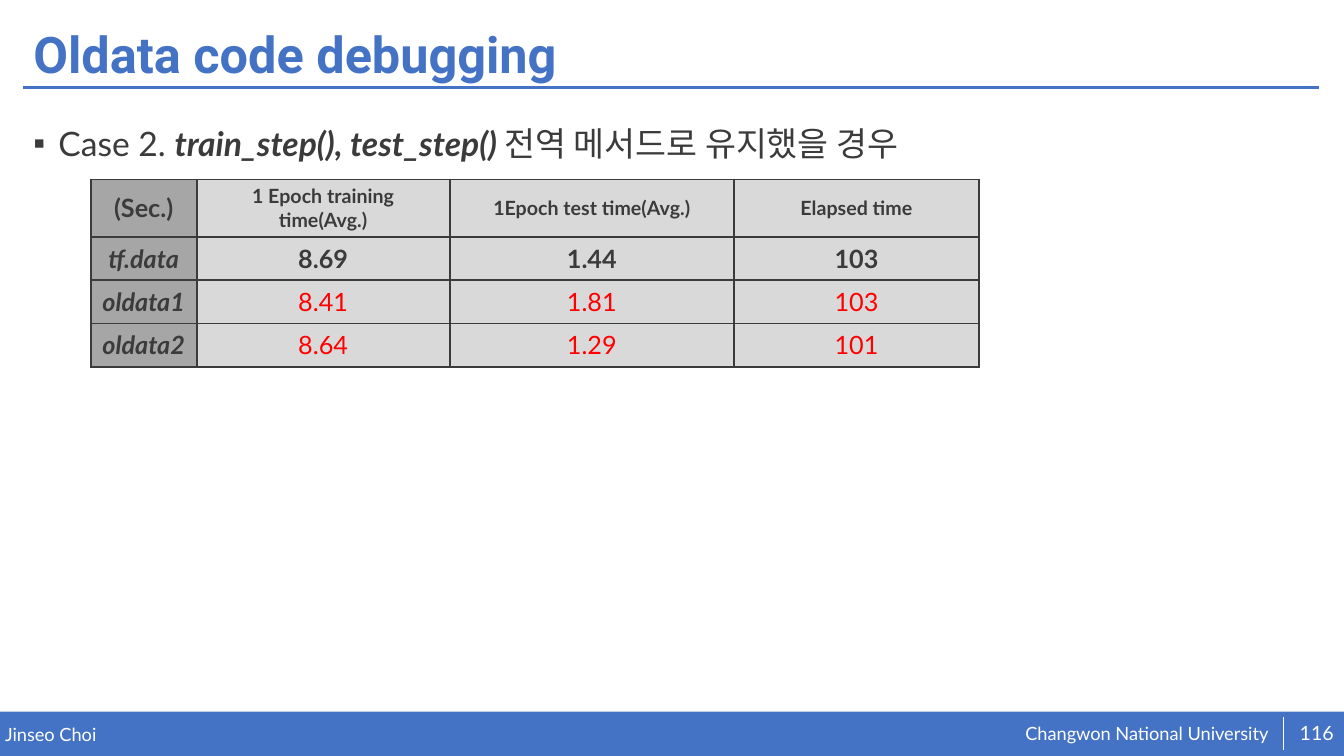
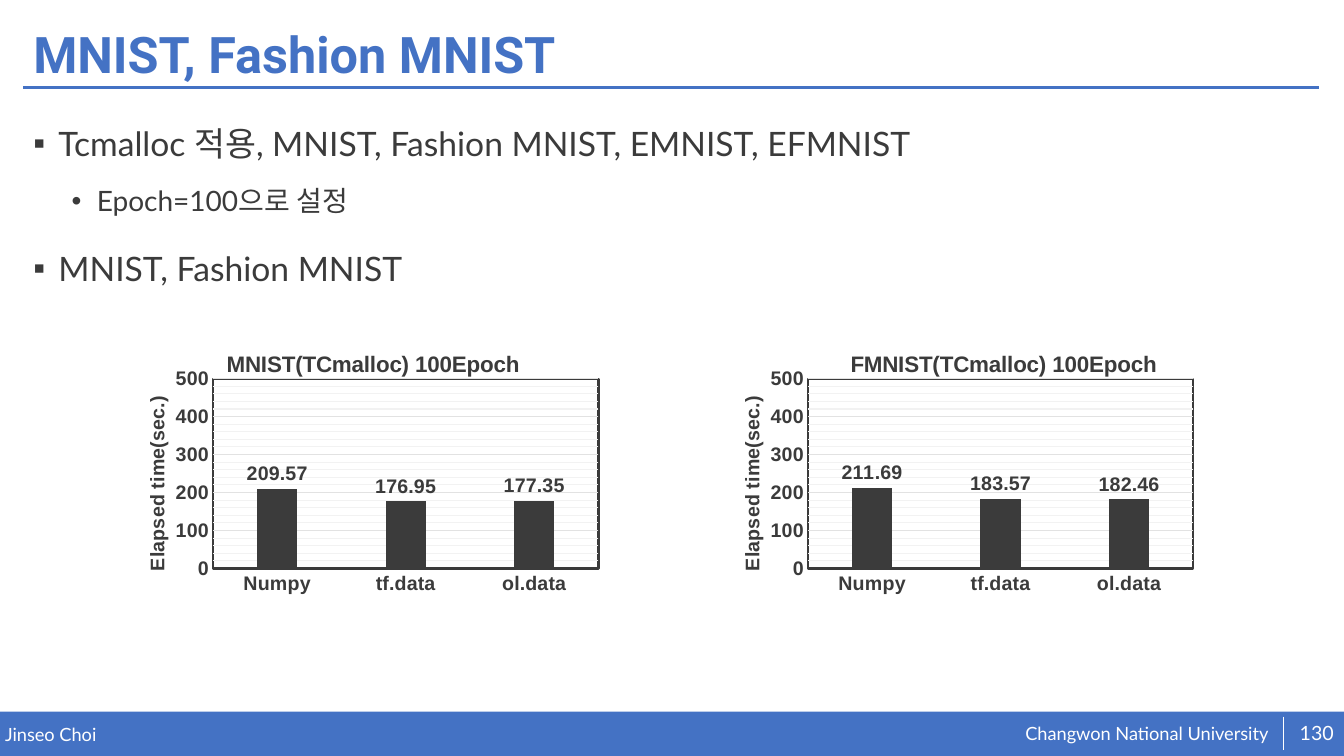
from lxml import etree
from pptx import Presentation
from pptx.chart.data import CategoryChartData
from pptx.dml.color import RGBColor
from pptx.enum.chart import XL_CHART_TYPE, XL_LABEL_POSITION, XL_TICK_MARK
from pptx.enum.shapes import MSO_CONNECTOR, MSO_SHAPE
from pptx.enum.text import MSO_ANCHOR, MSO_AUTO_SIZE, PP_ALIGN
from pptx.oxml import parse_xml
from pptx.oxml.ns import nsdecls, qn
from pptx.util import Inches, Pt

COLUMNS = XL_CHART_TYPE.COLUMN_CLUSTERED
OUTSIDE_END = XL_LABEL_POSITION.OUTSIDE_END
NO_TICK = XL_TICK_MARK.NONE
STRAIGHT = MSO_CONNECTOR.STRAIGHT
RECTANGLE = MSO_SHAPE.RECTANGLE
MIDDLE = MSO_ANCHOR.MIDDLE
NO_AUTOFIT = MSO_AUTO_SIZE.NONE
LEFT, CENTER = PP_ALIGN.LEFT, PP_ALIGN.CENTER

COLORS = {
    "blue": "4472C4", "ink": "3B3B3B", "white": "FFFFFF", "red": "FF0000",
    "label": "A6A6A6", "cell": "D9D9D9", "grid": "E2E2E2", "minor": "F2F2F2",
}
COLORS = {name: RGBColor.from_string(value) for name, value in COLORS.items()}

LEVELS = [
    {"bullet": "▪", "margin": 0.25, "size": 24, "before": 10},
    {"bullet": "•", "margin": 0.63, "size": 20, "before": 5},
]

PAGES = [
    {"title": "Oldata code debugging", "number": "116", "body": [
        (0, [("Case 2. ", False), ("train_step(), test_step() ", True),
             ("전역 메서드로 유지했을 경우", False)])]},
    {"title": "MNIST, Fashion MNIST", "number": "130", "body": [
        (0, [("Tcmalloc 적용, MNIST, Fashion MNIST, EMNIST, EFMNIST", False)]),
        (1, [("Epoch=100으로 설정", False)]),
        (0, [("MNIST, Fashion MNIST", False)])]},
]


def add_run(paragraph, text, size, color, font="Lato", bold=False, italic=False):
    run = paragraph.add_run()
    run.text = text
    run.font.name = font
    run.font.size = Pt(size)
    run.font.bold = bold
    run.font.italic = italic
    run.font.color.rgb = COLORS[color]


def set_layout(element, position, **fractions):
    for old in element.findall(qn("c:layout")):
        element.remove(old)
    layout = etree.Element(qn("c:layout"))
    manual = etree.SubElement(layout, qn("c:manualLayout"))
    if "w" in fractions:
        etree.SubElement(manual, qn("c:layoutTarget"), val="inner")
    for axis in "xy":
        etree.SubElement(manual, qn(f"c:{axis}Mode"), val="edge")
    for name, value in fractions.items():
        etree.SubElement(manual, qn(f"c:{name}"), val=str(value))
    element.insert(position, layout)


presentation = Presentation()
presentation.slide_width = Inches(13.33)
presentation.slide_height = Inches(7.5)

slides = []
for page in PAGES:
    slide = presentation.slides.add_slide(presentation.slide_layouts[1])
    slides.append(slide)

    band = slide.shapes.add_shape(
        RECTANGLE, Inches(0), Inches(7.06), Inches(13.33), Inches(0.44))
    band.shadow.inherit = False
    band.fill.solid()
    band.fill.fore_color.rgb = COLORS["blue"]
    band.line.fill.background()

    for x1, y1, x2, y2, color, width in (
            (0.23, 0.87, 13.08, 0.87, "blue", 2),
            (12.73, 7.11, 12.73, 7.44, "white", 0.5)):
        rule = slide.shapes.add_connector(
            STRAIGHT, Inches(x1), Inches(y1), Inches(x2), Inches(y2))
        rule.line.color.rgb = COLORS[color]
        rule.line.width = Pt(width)
        etree.SubElement(rule._element.spPr, qn("a:effectLst"))

    for text, left, top, width, height, size, alignment in (
            ("Changwon National University", 10.17, 7.16, 2.5, 0.23, 13, LEFT),
            ("Jinseo Choi", 0.05, 7.17, 6.55, 0.22, 13, LEFT),
            (page["number"], 12.82, 7.07, 0.48, 0.4, 14, CENTER)):
        frame = slide.shapes.add_textbox(
            Inches(left), Inches(top), Inches(width), Inches(height)).text_frame
        frame.word_wrap = True
        frame.vertical_anchor = MIDDLE
        frame.margin_left = frame.margin_right = 0
        frame.margin_top = frame.margin_bottom = 0
        frame.paragraphs[0].alignment = alignment
        add_run(frame.paragraphs[0], text, size, "white")

    title = slide.shapes.title
    body = slide.placeholders[1]
    for shape, top, height in ((title, 0.18, 0.77), (body, 1.01, 5.63)):
        shape.left, shape.top = Inches(0.23), Inches(top)
        shape.width, shape.height = Inches(12.86), Inches(height)
        shape.text_frame.auto_size = NO_AUTOFIT
    title.text_frame.vertical_anchor = MIDDLE
    paragraph = title.text_frame.paragraphs[0]
    paragraph.alignment = LEFT
    paragraph.line_spacing = 0.9
    add_run(paragraph, page["title"], 36, "blue", "Roboto", True)

    frame = body.text_frame
    for index, (level, runs) in enumerate(page["body"]):
        style = LEVELS[level]
        paragraph = frame.add_paragraph() if index else frame.paragraphs[0]
        paragraph.level = level
        properties = paragraph._p.get_or_add_pPr()
        properties.set("marL", str(Inches(style["margin"])))
        properties.set("indent", str(Inches(-0.25)))
        etree.SubElement(properties, qn("a:buFont"), typeface="Arial")
        etree.SubElement(properties, qn("a:buChar"), char=style["bullet"])
        paragraph.line_spacing = 1.4
        paragraph.space_before = Pt(style["before"] if index else 0)
        for text, emphasis in runs:
            add_run(paragraph, text, style["size"], "ink",
                    bold=emphasis, italic=emphasis)

debugging_slide, mnist_slide = slides

TIMES = [
    ["(Sec.)", "1 Epoch training time(Avg.)", "1Epoch test time(Avg.)", "Elapsed time"],
    ["tf.data", "8.69", "1.44", "103"],
    ["oldata1", "8.41", "1.81", "103"],
    ["oldata2", "8.64", "1.29", "101"],
]
table = debugging_slide.shapes.add_table(
    4, 4, Inches(0.9), Inches(1.78), Inches(8.81), Inches(1.86)).table
table.first_row = table.horz_banding = False
for column, width in zip(table.columns, (1.05, 2.51, 2.82, 2.43)):
    column.width = Inches(width)
for row, height in zip(table.rows, (0.57, 0.43, 0.43, 0.43)):
    row.height = Inches(height)
for row_index, texts in enumerate(TIMES):
    for column_index, text in enumerate(texts):
        is_label = column_index == 0
        is_result = row_index > 1 and not is_label
        cell = table.cell(row_index, column_index)
        cell.vertical_anchor = MIDDLE
        cell.fill.solid()
        cell.fill.fore_color.rgb = COLORS["label" if is_label else "cell"]
        paragraph = cell.text_frame.paragraphs[0]
        paragraph.alignment = CENTER
        add_run(paragraph, text, 14 if row_index == 0 and not is_label else 18,
                "red" if is_result else "ink", bold=not is_result,
                italic=is_label and row_index > 0)
        for position, side in enumerate("LRTB"):
            cell._tc.get_or_add_tcPr().insert(position, parse_xml(
                f'<a:ln{side} {nsdecls("a")} w="{Pt(1.5)}"><a:solidFill>'
                f'<a:srgbClr val="{COLORS["ink"]}"/></a:solidFill></a:ln{side}>'))

CHARTS = [
    ("MNIST(TCmalloc) 100Epoch", 1.3, 0.19, (209.57, 176.95, 177.35)),
    ("FMNIST(TCmalloc) 100Epoch", 7.2, 0.25, (211.69, 183.57, 182.46)),
]
for heading, left, heading_x, values in CHARTS:
    data = CategoryChartData(number_format="0.00")
    data.categories = ["Numpy", "tf.data", "ol.data"]
    data.add_series("Series 1", values)
    chart = mnist_slide.shapes.add_chart(
        COLUMNS, Inches(left), Inches(3.32), Inches(4.78), Inches(2.73), data).chart
    chart.has_legend = False
    chart.has_title = True
    category_axis, value_axis = chart.category_axis, chart.value_axis
    value_axis.has_title = True

    plot = chart.plots[0]
    plot.gap_width = 219
    plot.overlap = -27
    plot.vary_by_categories = False
    plot.has_data_labels = True
    labels = plot.data_labels
    labels.show_value = True
    labels.position = OUTSIDE_END
    series_fill = plot.series[0].format.fill
    series_fill.solid()
    series_fill.fore_color.rgb = COLORS["ink"]

    for font in (chart.font, labels.font, category_axis.tick_labels.font,
                 value_axis.tick_labels.font):
        font.name = "Arial"
        font.size = Pt(14)
        font.bold = True
        font.color.rgb = COLORS["ink"]

    for axis in (category_axis, value_axis):
        axis.major_tick_mark = axis.minor_tick_mark = NO_TICK
    category_axis.format.line.color.rgb = COLORS["ink"]
    category_axis.format.line.width = Pt(1.5)
    value_axis.format.line.fill.background()
    value_axis.tick_labels.number_format = "0"
    value_axis.tick_labels.number_format_is_linked = False
    value_axis.minimum_scale, value_axis.maximum_scale = 0, 500
    value_axis.major_unit, value_axis.minor_unit = 100, 20
    value_axis.has_major_gridlines = value_axis.has_minor_gridlines = True
    major_line = value_axis.major_gridlines.format.line
    major_line.color.rgb = COLORS["grid"]
    major_line.width = Pt(0.75)

    for chart_title, text, size, x, y in (
            (chart.chart_title, heading, 16, heading_x, 0.04),
            (value_axis.axis_title, "Elapsed time(sec.)", 14, 0.02, 0.21)):
        add_run(chart_title.text_frame.paragraphs[0], text, size, "ink", "Arial", True)
        set_layout(chart_title._element, 1, x=x, y=y)
    direction = value_axis.axis_title.text_frame._txBody.bodyPr
    direction.set("rot", "-5400000")
    direction.set("vert", "horz")

    plot_area = chart._chartSpace.chart.plotArea
    set_layout(plot_area, 0, x=0.17, y=0.16, w=0.8, h=0.69)
    minor_gridlines = value_axis._element.find(qn("c:minorGridlines"))
    for element, color, width in ((plot_area, "ink", 1.5),
                                  (minor_gridlines, "minor", 0.75)):
        element.append(parse_xml(
            f'<c:spPr {nsdecls("c", "a")}><a:noFill/><a:ln w="{Pt(width)}"><a:solidFill>'
            f'<a:srgbClr val="{COLORS[color]}"/></a:solidFill></a:ln></c:spPr>'))

presentation.save("out.pptx")
